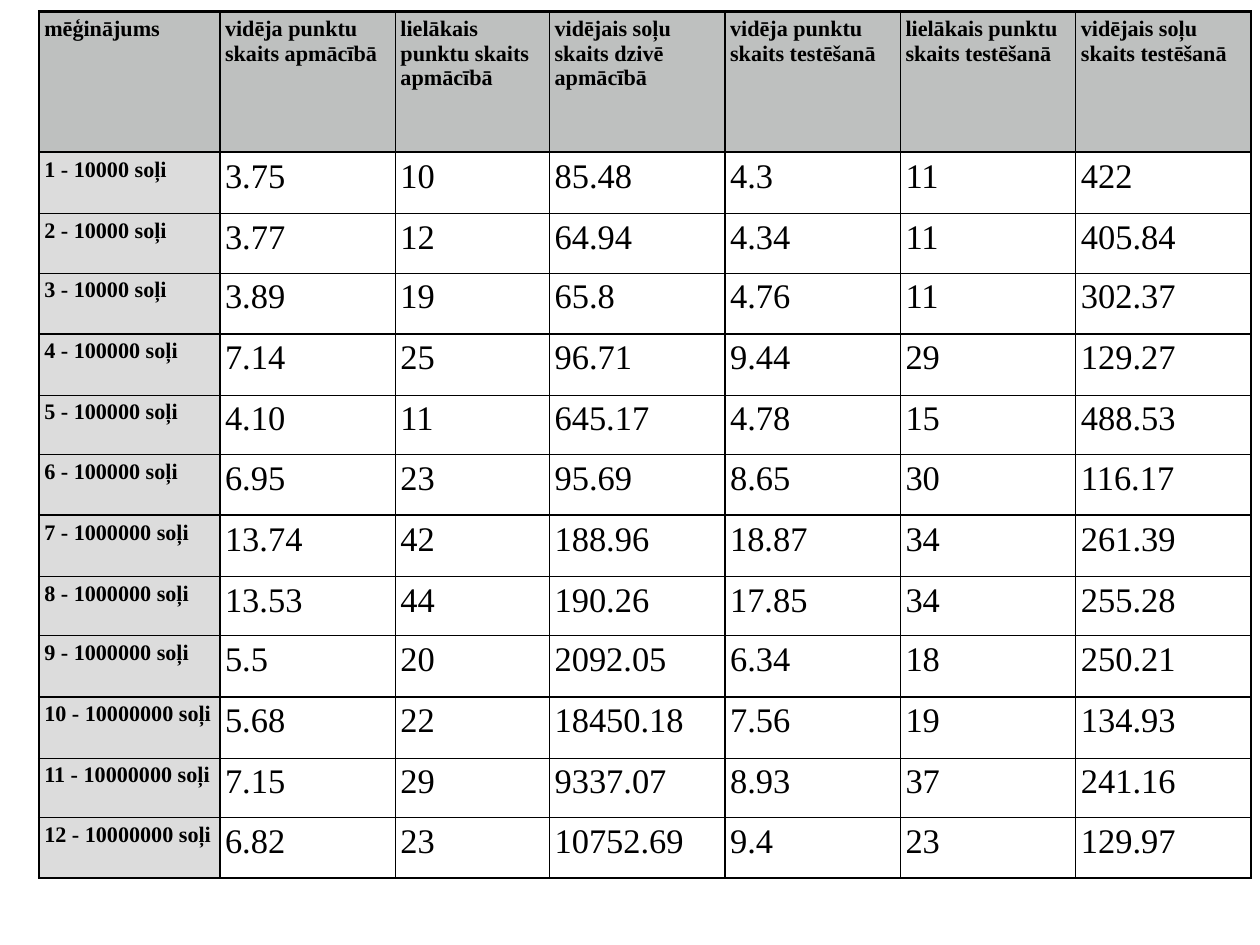
from dataclasses import dataclass

from lxml import etree
from pptx import Presentation
from pptx.dml.color import RGBColor
from pptx.oxml.ns import qn
from pptx.table import _Cell
from pptx.util import Inches, Pt

FONT = "Times New Roman"
BLACK, HEADER_GREY, LABEL_GREY = "000000", "BEC0BF", "DCDCDC"
HEAVY, THIN = Pt(2), Pt(0.35)
GROUP_SIZE = 3
BLANK_LAYOUT = 6

COLUMN_WIDTHS = [2.04, 1.98, 1.74] + [1.98] * 4
HEADER_HEIGHT = 1.59
GROUP_HEIGHTS = [0.69, 0.67, 0.69]
HEADERS = [
    "mēģinājums",
    "vidēja punktu skaits apmācībā",
    "lielākais punktu skaits apmācībā",
    "vidējais soļu skaits dzivē apmācībā",
    "vidēja punktu skaits testēšanā",
    "lielākais punktu skaits testēšanā",
    "vidējais soļu skaits testēšanā",
]
STEP_COUNTS = [10000, 100000, 1000000, 10000000]
RESULTS = [
    ["3.75", "10", "85.48", "4.3", "11", "422"],
    ["3.77", "12", "64.94", "4.34", "11", "405.84"],
    ["3.89", "19", "65.8", "4.76", "11", "302.37"],
    ["7.14", "25", "96.71", "9.44", "29", "129.27"],
    ["4.10", "11", "645.17", "4.78", "15", "488.53"],
    ["6.95", "23", "95.69", "8.65", "30", "116.17"],
    ["13.74", "42", "188.96", "18.87", "34", "261.39"],
    ["13.53", "44", "190.26", "17.85", "34", "255.28"],
    ["5.5", "20", "2092.05", "6.34", "18", "250.21"],
    ["5.68", "22", "18450.18", "7.56", "19", "134.93"],
    ["7.15", "29", "9337.07", "8.93", "37", "241.16"],
    ["6.82", "23", "10752.69", "9.4", "23", "129.97"],
]


@dataclass(frozen=True)
class CellStyle:
    size: int
    bold: bool
    fill: str | None = None


HEADER_STYLE = CellStyle(18, True, HEADER_GREY)
LABEL_STYLE = CellStyle(18, True, LABEL_GREY)
VALUE_STYLE = CellStyle(28, False)


def color(value: str) -> RGBColor:
    return RGBColor.from_string(value)


def border_width(boundary: int) -> int:
    """Heavy at the outer edge, after the header and after each group of three."""
    return HEAVY if boundary == 0 or boundary % GROUP_SIZE == 1 else THIN


def set_borders(cell: _Cell, row: int, column: int) -> None:
    boundaries = {"a:lnL": column, "a:lnR": column + 1, "a:lnT": row, "a:lnB": row + 1}
    properties = cell._tc.get_or_add_tcPr()
    for position, (tag, boundary) in enumerate(boundaries.items()):
        line = etree.Element(qn(tag), w=str(border_width(boundary)))
        fill = etree.SubElement(line, qn("a:solidFill"))
        etree.SubElement(fill, qn("a:srgbClr"), val=BLACK)
        properties.insert(position, line)


def fill_cell(cell: _Cell, text: str, style: CellStyle) -> None:
    cell.margin_left = cell.margin_right = Inches(0.06)
    cell.margin_top = cell.margin_bottom = Inches(0.06)
    if style.fill:
        cell.fill.solid()
        cell.fill.fore_color.rgb = color(style.fill)
    else:
        cell.fill.background()
    cell.text = text
    font = cell.text_frame.paragraphs[0].font
    font.name = FONT
    font.size = Pt(style.size)
    font.bold = style.bold
    font.color.rgb = color(BLACK)


def cell_style(row: int, column: int) -> CellStyle:
    if row == 0:
        return HEADER_STYLE
    return LABEL_STYLE if column == 0 else VALUE_STYLE


def main() -> None:
    presentation = Presentation()
    presentation.slide_width = Inches(14.22)
    presentation.slide_height = Inches(10.67)
    slide = presentation.slides.add_slide(presentation.slide_layouts[BLANK_LAYOUT])

    rows = [HEADERS] + [
        [f"{index + 1} - {STEP_COUNTS[index // GROUP_SIZE]} soļi", *values]
        for index, values in enumerate(RESULTS)
    ]
    row_heights = [HEADER_HEIGHT] + GROUP_HEIGHTS * len(STEP_COUNTS)
    table = slide.shapes.add_table(
        len(rows), len(HEADERS), Inches(0.44), Inches(0.13),
        Inches(sum(COLUMN_WIDTHS)), Inches(sum(row_heights)),
    ).table
    table.first_row = table.horz_banding = False
    for table_column, width in zip(table.columns, COLUMN_WIDTHS):
        table_column.width = Inches(width)
    for table_row, height in zip(table.rows, row_heights):
        table_row.height = Inches(height)

    for row, texts in enumerate(rows):
        for column, text in enumerate(texts):
            cell = table.cell(row, column)
            fill_cell(cell, text, cell_style(row, column))
            set_borders(cell, row, column)

    presentation.save("out.pptx")


if __name__ == "__main__":
    main()
